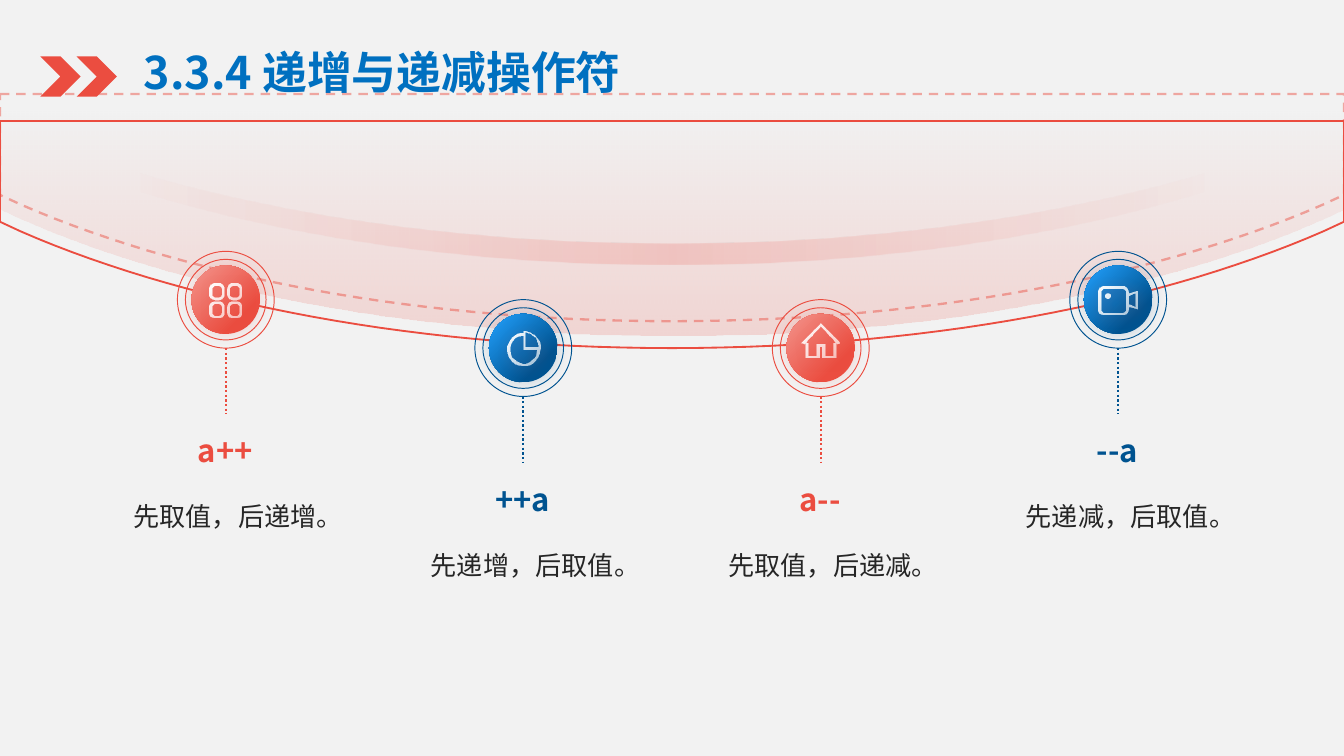
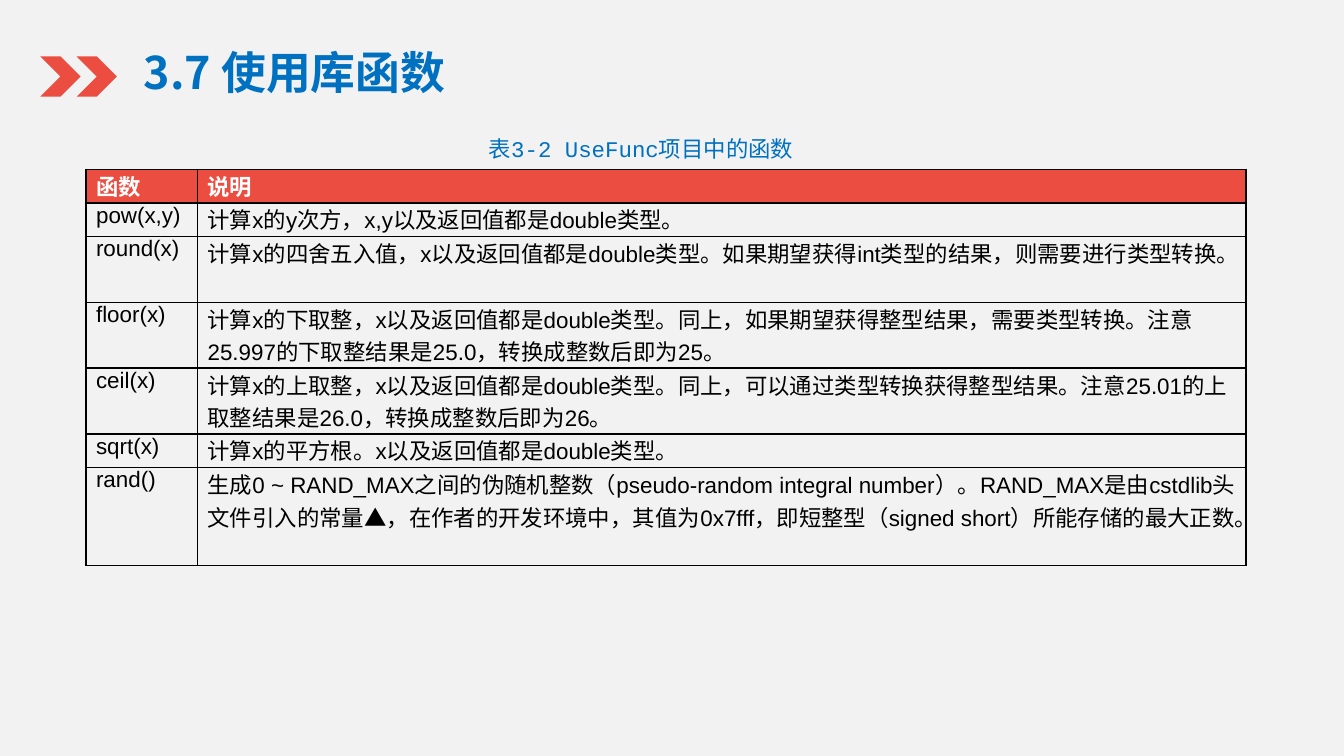
import math

from lxml import etree
from pptx import Presentation
from pptx import util as u
from pptx.dml.color import RGBColor
from pptx.enum import dml, shapes, text
from pptx.oxml.ns import qn

RED, PINK = "EB4D40", "F3948C"
NAVY, SKY = "005390", "23A2FF"
TITLE_BLUE, GREY, INK = "0070C0", "F2F2F2", "262626"
BLACK, WHITE = "000000", "FFFFFF"
SC, JP = "Noto Sans CJK SC", "Noto Sans CJK JP"


# ---- Colour, line and effect helpers ----
def rgb(code):
    return RGBColor.from_string(code)


def box(*lengths):
    return [u.Inches(n) for n in lengths]


def sub(parent, tag, **attrs):
    return etree.SubElement(parent, qn(tag), {k: str(v) for k, v in attrs.items()})


def tint(parent, color, alpha=100):
    clr = sub(parent, "a:srgbClr", val=color)
    if alpha < 100:
        sub(clr, "a:alpha", val=alpha * 1000)


def gradient(owner, fill, stops, angle=None):
    """Fill with (position, colour, alpha) stops; radial from top left without an angle."""
    fill.background()
    grad = etree.Element(qn("a:gradFill"), rotWithShape="1")
    stop_list = sub(grad, "a:gsLst")
    for position, *color in stops:
        tint(sub(stop_list, "a:gs", pos=position * 1000), *color)
    if angle is None:
        path = sub(grad, "a:path", path="circle")
        sub(path, "a:fillToRect", r=100000, b=100000)
    else:
        sub(grad, "a:lin", ang=angle * 60000, scaled=0)
    owner.replace(owner.find(qn("a:noFill")), grad)


def plain(shape):
    shape.shadow.inherit = False
    shape.fill.background()
    shape.line.fill.background()
    return shape


def stroke(shape, color, width, alpha=100, dash=None):
    shape.line.color.rgb = rgb(color)
    shape.line.width = u.Pt(width)
    if dash:
        shape.line.dash_style = dash
    if alpha < 100:
        clr = shape._element.spPr.find(qn("a:ln")).find(".//" + qn("a:srgbClr"))
        sub(clr, "a:alpha", val=alpha * 1000)


def glow(shape, color, alpha, blur, dist=0, angle=0):
    effects = shape._element.spPr.find(qn("a:effectLst"))
    shade = sub(effects, "a:outerShdw", blurRad=u.Pt(blur), dist=u.Pt(dist),
                dir=angle * 60000, algn="ctr", rotWithShape=0)
    tint(shade, color, alpha)


# ---- Text helpers ----
def add_run(paragraph, words, size, color, font, bold=False):
    run = paragraph.add_run()
    run.text = words
    run.font.size, run.font.bold, run.font.name = u.Pt(size), bold, font
    run.font.color.rgb = rgb(color)
    sub(run._r.rPr, "a:ea", typeface=font if font == JP else SC)
    return run


def add_label(slide, at, inset=True):
    frame = slide.shapes.add_textbox(*box(*at)).text_frame
    frame.word_wrap = True
    if not inset:
        frame.margin_left = frame.margin_right = 0
        frame.margin_top = frame.margin_bottom = 0
    frame.paragraphs[0].alignment = text.PP_ALIGN.CENTER
    return frame


# ---- Outline geometry, in inches ----
def cubic(a, b, c, d, steps=30):
    for i in range(steps + 1):
        t = i / steps
        s = 1 - t
        yield tuple(s**3 * p + 3 * s * s * t * q + 3 * s * t * t * r + t**3 * v
                    for p, q, r, v in zip(a, b, c, d))


def arc(x, y, r, start, end, steps=20):
    angles = [math.radians(start + (end - start) * i / steps) for i in range(steps + 1)]
    return [(x + r * math.cos(a), y + r * math.sin(a)) for a in angles]


def rounded(x, y, w, h, r):
    corners = [(x + w - r, y + h - r), (x + r, y + h - r), (x + r, y + r), (x + w - r, y + r)]
    return [p for i, (cx, cy) in enumerate(corners)
            for p in arc(cx, cy, r, 90 * i, 90 * i + 90, 6)]


def ring(x, y, w, h, r, t=0.02):
    return [rounded(x, y, w, h, r), rounded(x + t, y + t, w - 2 * t, h - 2 * t, r - t)]


def rim(top, stretch=1):
    """Curved lower edge of a bowl, from right to left."""
    half = [(4.85, 0.82), (3.61, 1.36), (1.89, 1.69), (0, 1.69)]
    right = list(cubic(*[(5 + x * stretch, top + y) for x, y in half]))
    left = [(10 - x, y) for x, y in reversed(right)]
    return right + left[1:]


def bowl(top):
    return [(0, top), (10, top), (10, top + 0.75), *rim(top), (0, top + 0.75)]


def add_outline(slide, contours, dx=0, dy=0):
    places = [[box(x + dx, y + dy) for x, y in contour] for contour in contours]
    builder = slide.shapes.build_freeform(*places[0][0])
    for i, contour in enumerate(places):
        if i:
            builder.move_to(*contour[0])
        builder.add_line_segments(contour[1:], close=True)
    return plain(builder.convert_to_shape())


# ---- Icons, around their centre ----
def grid_icon():
    return [c for x in (-0.12, 0.01) for y in (-0.12, 0.01)
            for c in ring(x, y, 0.11, 0.12, 0.04)]


def pie_icon():
    return [arc(0, 0.01, 0.13, -90, 0) + arc(0, 0.01, 0.12, 0, 270),
            [(0.01, -0.01)] + arc(0.01, -0.01, 0.1, -90, 0),
            [(0, 0.01)] + arc(0, 0.01, 0.1, 0, 270)]


def house_icon():
    roof = [(-0.14, -0.04), (0, -0.18), (0.14, -0.04), (0.12, -0.03), (0, -0.16), (-0.12, -0.03)]
    right = [(0.01, -0.01), (0.01, 0.07), (0.11, 0.07), (0.11, -0.04),
             (0.09, -0.04), (0.09, 0.05), (0.03, 0.05), (0.03, -0.03)]
    return [roof, right + [(-x, y) for x, y in reversed(right)]]


def camera_icon():
    return ring(-0.15, -0.1, 0.22, 0.21, 0.04) + [
        [(0.07, -0.05), (0.14, -0.07), (0.14, 0.07), (0.07, 0.05)],
        [(0.07, -0.03), (0.12, -0.05), (0.12, 0.05), (0.07, 0.03)],
        arc(-0.08, -0.03, 0.02, 0, 360)]


# ---- Shared slide frame ----
def add_titled_slide(prs, title, width):
    slide = prs.slides.add_slide(prs.slide_layouts[5])
    heading = slide.shapes.title
    heading.left, heading.top, heading.width, heading.height = box(0.97, 0.28, width, 0.5)
    frame = heading.text_frame
    frame.auto_size = text.MSO_AUTO_SIZE.NONE
    frame.vertical_anchor = text.MSO_ANCHOR.MIDDLE
    frame.paragraphs[0].alignment = text.PP_ALIGN.LEFT
    add_run(frame.paragraphs[0], title, 24, TITLE_BLUE, JP, True)
    for x in (0.3, 0.57):
        chevron = plain(slide.shapes.add_shape(shapes.MSO_SHAPE.CHEVRON, *box(x, 0.42, 0.3, 0.3)))
        chevron.fill.solid()
        chevron.fill.fore_color.rgb = rgb(RED)
    return slide


# ---- Operator slide ----
def add_bowls(slide):
    stroke(add_outline(slide, [bowl(0.7)]), RED, 1.25, 45, dml.MSO_LINE.DASH)
    stroke(add_outline(slide, [bowl(0.9)]), RED, 1)
    body = add_outline(slide, [bowl(0.81)])
    gradient(body._element.spPr, body.fill, [(0, RED, 0), (100, RED, 18)], 90)


def add_sweep(slide):
    lower = [(10, 1.03), *rim(0.28), (0, 1.03)]
    sweep = add_outline(slide, [lower + rim(0.12, 1.015)[::-1]])
    gradient(sweep._element.spPr, sweep.fill, [(10, RED, 0), (50, RED, 18), (90, RED, 0)], 0)


def add_disc(slide, x, y, size):
    return plain(slide.shapes.add_shape(
        shapes.MSO_SHAPE.OVAL, *box(x - size / 2, y - size / 2, size, size)))


def add_operator(slide, x, y, operator, meaning, icon, dark, light):
    disc = add_disc(slide, x, y, 0.51)
    gradient(disc._element.spPr, disc.fill, [(0, light), (75, dark)])
    glow(disc, dark, 20, 8)
    for size in (0.6, 0.72):
        stroke(add_disc(slide, x, y, size), dark, 0.5)

    symbol = add_outline(slide, icon, x, y)
    gradient(symbol._element.spPr, symbol.fill, [(0, WHITE), (100, WHITE, 60)], 45)
    glow(symbol, RED, 30, 7, 2, 45)

    body = add_label(slide, (x - 0.69, y + 1.38, 1.37, 0.96), inset=False)
    body.paragraphs[0].line_spacing = 1.5
    add_run(body.paragraphs[0], meaning, 14, INK, SC)

    heading = add_label(slide, (x - 0.69, y + 0.92, 1.37, 0.34), inset=False)
    heading.vertical_anchor = text.MSO_ANCHOR.BOTTOM
    run = add_run(heading.paragraphs[0], operator, 16.6, dark, SC, True)
    gradient(run._r.rPr, run.font.fill, [(36, dark), (100, light)], 90)

    stem = slide.shapes.add_connector(
        shapes.MSO_CONNECTOR.STRAIGHT, *box(x, y + 0.36, x, y + 0.85))
    stroke(stem, dark, 1.25, dash=dml.MSO_LINE.ROUND_DOT)
    sub(stem._element.spPr, "a:effectLst")


def build_operators(prs):
    slide = add_titled_slide(prs, "3.3.4 递增与递减操作符", 3.96)
    add_bowls(slide)
    operators = [
        ("a++", "先取值，后递增。", grid_icon(), 2.23),
        ("++a", "先递增，后取值。", pie_icon(), 2.59),
        ("a--", "先取值，后递减。", house_icon(), 2.59),
        ("--a", "先递减，后取值。", camera_icon(), 2.23),
    ]
    for i, (operator, meaning, icon, y) in enumerate(operators):
        colors = (NAVY, SKY) if i % 2 else (RED, PINK)
        add_operator(slide, 1.68 + i * 6.64 / 3, y, operator, meaning, icon, *colors)
    add_sweep(slide)


# ---- Library function slide ----
def fill_cell(cell, words, header):
    cell.margin_left = cell.margin_right = u.Pt(5.4)
    cell.margin_top = cell.margin_bottom = 0
    add_run(cell.text_frame.paragraphs[0], words, 12, WHITE if header else BLACK, "Arial", header)
    props = cell._tc.get_or_add_tcPr()
    for side in ("a:lnL", "a:lnR", "a:lnT", "a:lnB"):
        tint(sub(sub(props, side, w=u.Pt(1)), "a:solidFill"), BLACK)
    if header:
        cell.fill.solid()
        cell.fill.fore_color.rgb = rgb(RED)
    else:
        cell.fill.background()


def build_functions(prs):
    slide = add_titled_slide(prs, "3.7 使用库函数", 6.66)
    rows = [  # name, description, lines of text
        ("函数", "说明", 1),
        ("pow(x,y)", "计算x的y次方，x,y以及返回值都是double类型。", 1),
        ("round(x)", "计算x的四舍五入值，x以及返回值都是double类型。"
         "如果期望获得int类型的结果，则需要进行类型转换。", 2),
        ("floor(x)", "计算x的下取整，x以及返回值都是double类型。同上，如果期望获得整型结果，"
         "需要类型转换。注意25.997的下取整结果是25.0，转换成整数后即为25。", 2),
        ("ceil(x)", "计算x的上取整，x以及返回值都是double类型。同上，可以通过类型转换获得整型结果。"
         "注意25.01的上取整结果是26.0，转换成整数后即为26。", 2),
        ("sqrt(x)", "计算x的平方根。x以及返回值都是double类型。", 1),
        ("rand()", "生成0 ~ RAND_MAX之间的伪随机整数（pseudo-random integral number）。"
         "RAND_MAX是由cstdlib头文件引入的常量▲，在作者的开发环境中，其值为0x7fff，"
         "即短整型（signed short）所能存储的最大正数。", 3),
    ]
    table = slide.shapes.add_table(len(rows), 2, *box(0.64, 1.26, 8.63, 2.95)).table
    table.first_row = table.horz_banding = False
    table.columns[0].width, table.columns[1].width = box(0.83, 7.8)
    for i, (name, description, lines) in enumerate(rows):
        table.rows[i].height = u.Inches(0.24 * lines + 0.01)
        fill_cell(table.cell(i, 0), name, i == 0)
        fill_cell(table.cell(i, 1), description, i == 0)

    caption = add_label(slide, (1.99, 0.96, 5.56, 0.3)).paragraphs[0]
    for words, font in (("表", "Arial"), ("3-2 UseFunc", "Courier New"), ("项目中的函数", "Arial")):
        add_run(caption, words, 12, TITLE_BLUE, font)


def main():
    prs = Presentation()
    prs.slide_width = u.Inches(10)
    prs.slide_height = prs.slide_width * 9 // 16
    backdrop = prs.slide_master.background.fill
    backdrop.solid()
    backdrop.fore_color.rgb = rgb(GREY)
    build_operators(prs)
    build_functions(prs)
    prs.save("out.pptx")


if __name__ == "__main__":
    main()
